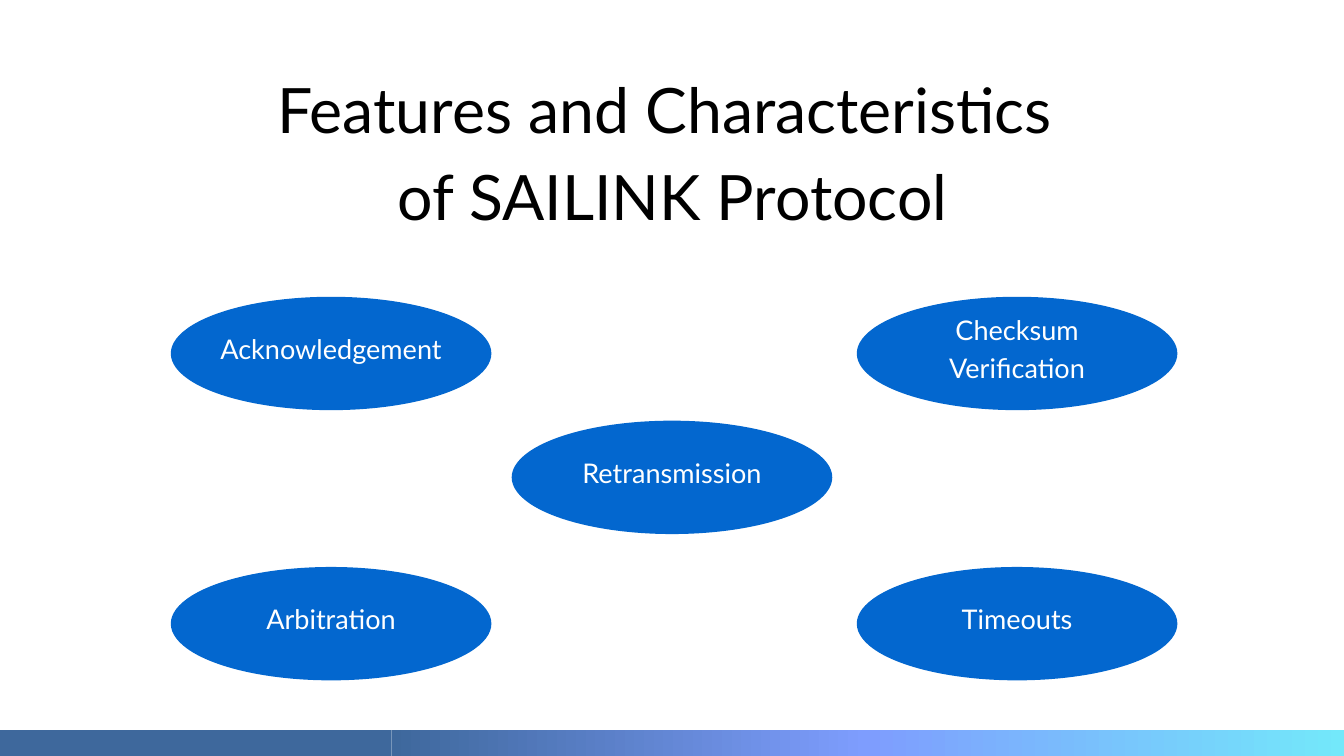
"""Build the slide on the features of the SAILINK protocol."""
from copy import deepcopy
from dataclasses import dataclass

from pptx import Presentation
from pptx.dml.color import RGBColor as Color
from pptx.enum.shapes import MSO_SHAPE as ShapeKind
from pptx.enum.text import MSO_ANCHOR as Anchor
from pptx.enum.text import MSO_AUTO_SIZE as AutoSize
from pptx.enum.text import PP_ALIGN as Align
from pptx.oxml.ns import qn
from pptx.shapes.autoshape import Shape
from pptx.slide import Slide
from pptx.util import Emu, Pt

EMU_PER_PX = 9525
SLIDE_WIDTH, SLIDE_HEIGHT = 1920, 1080


@dataclass(frozen=True)
class Theme:
    font: str = "Lato"
    title_size: int = 67
    title_spacing: float = 93.8
    label_size: int = 29
    label_spacing: float = 40.6
    title_color: str = "000000"
    label_color: str = "FFFFFF"
    oval_color: str = "0367CF"
    bar_color: str = "3E689C"
    bar_gradient: tuple[str, ...] = ("3E689C", "7E9DFE", "73E8FA")


@dataclass(frozen=True)
class Box:
    left: int
    top: int
    width: int
    height: int

    def emu(self) -> tuple[Emu, ...]:
        return tuple(Emu(px * EMU_PER_PX) for px in (self.left, self.top, self.width, self.height))


@dataclass(frozen=True)
class Feature:
    label: str
    left: int
    top: int


THEME = Theme()
LEFT, MIDDLE, RIGHT = 244, 731, 1224
UPPER, CENTER, LOWER = 424, 601, 810
FEATURES = (
    Feature("Acknowledgement", LEFT, UPPER),
    Feature("Checksum Verification", RIGHT, UPPER),
    Feature("Retransmission", MIDDLE, CENTER),
    Feature("Timeouts", RIGHT, LOWER),
    Feature("Arbitration", LEFT, LOWER),
)
TITLE = "Features and Characteristics \nof SAILINK Protocol"
TITLE_BOX = Box(324, 83, 1273, 245)
BAR_TOP, BAR_SPLIT = 1043, 559


def add_filled_shape(slide: Slide, kind: ShapeKind, box: Box, color: str) -> Shape:
    shape = slide.shapes.add_shape(kind, *box.emu())
    shape.shadow.inherit = False
    shape.line.fill.background()
    shape.fill.solid()
    shape.fill.fore_color.rgb = Color.from_string(color)
    return shape


def add_text(slide: Slide, box: Box, text: str, size: int, spacing: float, color: str, inset: int = 0) -> Shape:
    shape = slide.shapes.add_textbox(*box.emu())
    frame = shape.text_frame
    frame.word_wrap = True
    frame.margin_left = frame.margin_right = Emu(inset * EMU_PER_PX)
    frame.margin_top = frame.margin_bottom = Emu(inset * EMU_PER_PX)
    frame.text = text
    for paragraph in frame.paragraphs:
        paragraph.alignment = Align.CENTER
        paragraph.line_spacing = Pt(spacing)
        for run in paragraph.runs:
            run.font.name = THEME.font
            run.font.size = Pt(size)
            run.font.color.rgb = Color.from_string(color)
    return shape


def add_feature(slide: Slide, feature: Feature) -> None:
    oval = Box(feature.left, feature.top, 458, 162)
    add_filled_shape(slide, ShapeKind.OVAL, oval, THEME.oval_color)
    label_box = Box(feature.left + 43, feature.top - 7, 372, 155)
    label = add_text(slide, label_box, feature.label, THEME.label_size,
                     THEME.label_spacing, THEME.label_color, inset=6)
    label.text_frame.vertical_anchor = Anchor.MIDDLE


def apply_gradient(shape: Shape, colors: tuple[str, ...]) -> None:
    shape.fill.gradient()
    shape.fill.gradient_angle = 0
    stop_list = next(shape.element.iter(qn("a:gsLst")))
    while len(stop_list) < len(colors):
        stop_list.append(deepcopy(stop_list[0]))
    for index, (stop, color) in enumerate(zip(shape.fill.gradient_stops, colors)):
        stop.position = index / (len(colors) - 1)
        stop.color.rgb = Color.from_string(color)


def add_footer_bar(slide: Slide) -> None:
    height = SLIDE_HEIGHT - BAR_TOP
    add_filled_shape(slide, ShapeKind.RECTANGLE, Box(0, BAR_TOP, BAR_SPLIT, height), THEME.bar_color)
    gradient_box = Box(BAR_SPLIT, BAR_TOP, SLIDE_WIDTH - BAR_SPLIT, height)
    gradient_bar = add_filled_shape(slide, ShapeKind.RECTANGLE, gradient_box, THEME.bar_color)
    apply_gradient(gradient_bar, THEME.bar_gradient)


def main() -> None:
    presentation = Presentation()
    presentation.slide_width = Emu(SLIDE_WIDTH * EMU_PER_PX)
    presentation.slide_height = Emu(SLIDE_HEIGHT * EMU_PER_PX)
    slide = presentation.slides.add_slide(presentation.slide_layouts[6])
    for feature in FEATURES:
        add_feature(slide, feature)
    title = add_text(slide, TITLE_BOX, TITLE, THEME.title_size, THEME.title_spacing, THEME.title_color)
    title.text_frame.auto_size = AutoSize.SHAPE_TO_FIT_TEXT
    add_footer_bar(slide)
    presentation.save("out.pptx")


if __name__ == "__main__":
    main()
